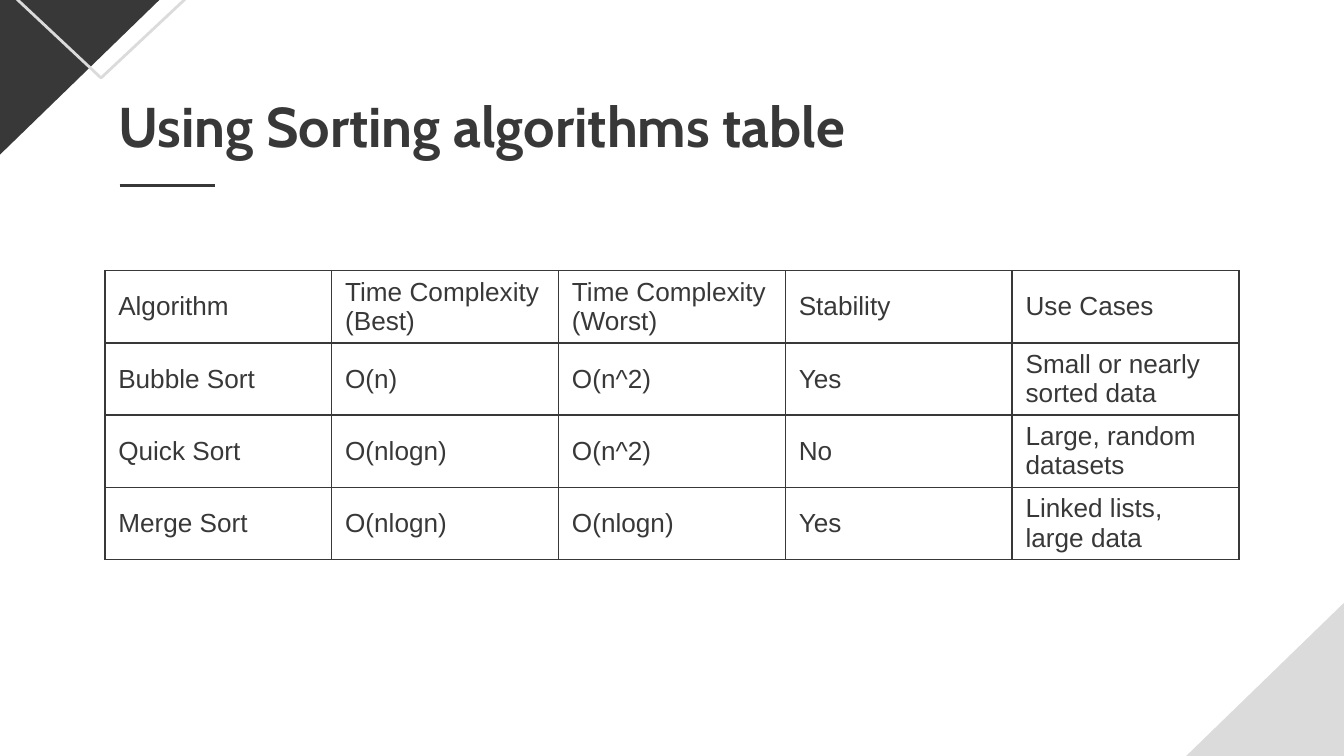
"""Build a slide with a table that compares sorting algorithms."""
from dataclasses import dataclass

from lxml import etree
from pptx import Presentation
from pptx import util as u
from pptx.dml.color import RGBColor
from pptx.enum import shapes, text
from pptx.oxml import ns

WIDTH = u.Inches(10)
HEIGHT = u.Emu(WIDTH * 9 // 16)
DARK, LIGHT = "383838", "DBDBDB"
ROWS = [
    ("Algorithm", "Time Complexity (Best)", "Time Complexity (Worst)", "Stability", "Use Cases"),
    ("Bubble Sort", "O(n)", "O(n^2)", "Yes", "Small or nearly sorted data"),
    ("Quick Sort", "O(nlogn)", "O(n^2)", "No", "Large, random datasets"),
    ("Merge Sort", "O(nlogn)", "O(nlogn)", "Yes", "Linked lists, large data"),
]


@dataclass(frozen=True)
class Box:
    """A rectangle in percent of the slide's width and height."""
    left: float
    top: float
    width: float
    height: float

    def emu(self) -> tuple:
        """Return left, top, width and height as lengths."""
        return (across(self.left), down(self.top), across(self.width), down(self.height))


@dataclass(frozen=True)
class Corner:
    """A mirrored triangle that decorates a corner of the slide."""
    kind: shapes.MSO_SHAPE
    box: Box
    colour: str
    rotation: int = 0
    filled: bool = True


CORNERS = [
    Corner(shapes.MSO_SHAPE.RIGHT_TRIANGLE, Box(81.1, 48.18, 37.2, 64.18), LIGHT),
    Corner(shapes.MSO_SHAPE.RIGHT_TRIANGLE, Box(-10.1, -26.31, 37.2, 64.18), DARK, 180),
    Corner(shapes.MSO_SHAPE.ISOSCELES_TRIANGLE, Box(-21.83, -38.58, 58.7, 48.89), LIGHT, 180, False),
]
TITLE = Box(7.8, 10.31, 84.3, 10.31)
TABLE = Box(7.8, 35.8, 84.4, 38.24)


def across(percent: float) -> int:
    """Return a share of the slide's width."""
    return u.Emu(round(WIDTH * percent / 100))


def down(percent: float) -> int:
    """Return a share of the slide's height."""
    return u.Emu(round(HEIGHT * percent / 100))


def rgb(colour: str) -> RGBColor:
    """Turn a hex string into a colour."""
    return RGBColor.from_string(colour)


def add_run(p, words: str, font: str, size: int, bold: bool = False) -> None:
    """Add one dark run to a paragraph."""
    r = p.add_run()
    r.text = words
    r.font.name, r.font.size, r.font.bold = font, u.Pt(size), bold
    r.font.color.rgb = rgb(DARK)


def add_corner(s, corner: Corner) -> None:
    """Draw a corner triangle, filled or outlined."""
    sp = s.shapes.add_shape(corner.kind, *corner.box.emu())
    sp.shadow.inherit = False
    sp.rotation = corner.rotation
    sp._element.spPr.find(ns.qn("a:xfrm")).set("flipH", "1")
    if corner.filled:
        sp.fill.solid()
        sp.fill.fore_color.rgb = rgb(corner.colour)
        sp.line.fill.background()
    else:
        sp.fill.background()
        sp.line.color.rgb = rgb(corner.colour)
        sp.line.width = u.Pt(1.5)


def add_title(s, words: str) -> None:
    """Fill the title placeholder and underline its start."""
    sp = s.shapes.title
    sp.left, sp.top, sp.width, sp.height = TITLE.emu()
    tf = sp.text_frame
    tf.auto_size = text.MSO_AUTO_SIZE.NONE
    tf.vertical_anchor = text.MSO_ANCHOR.TOP
    tf.margin_left = tf.margin_right = tf.margin_top = tf.margin_bottom = u.Inches(0.1)
    p = tf.paragraphs[0]
    p.alignment = text.PP_ALIGN.LEFT
    p.line_spacing = 1.0
    add_run(p, words, "Cabin", 30, True)
    y = down(24.53)
    rule = s.shapes.add_connector(shapes.MSO_CONNECTOR.STRAIGHT, across(8.9), y, across(16), y)
    rule.line.color.rgb = rgb(DARK)
    rule.line.width = u.Pt(1.5)
    etree.SubElement(rule._element.spPr, ns.qn("a:effectLst"))


def add_borders(cell) -> None:
    """Put a thin dark line on all sides of a cell."""
    props = cell._tc.get_or_add_tcPr()
    for i, side in enumerate(("lnL", "lnR", "lnT", "lnB")):
        ln = etree.Element(ns.qn(f"a:{side}"), w=str(u.Pt(1)))
        fill = etree.SubElement(ln, ns.qn("a:solidFill"))
        etree.SubElement(fill, ns.qn("a:srgbClr"), val=DARK)
        props.insert(i, ln)


def add_table(s, rows: list) -> None:
    """Draw the comparison table on an even grid."""
    table = s.shapes.add_table(len(rows), len(rows[0]), *TABLE.emu()).table
    table.first_row = table.horz_banding = False
    for i, row in enumerate(rows):
        for j, words in enumerate(row):
            cell = table.cell(i, j)
            cell.fill.background()
            cell.vertical_anchor = text.MSO_ANCHOR.MIDDLE
            add_run(cell.text_frame.paragraphs[0], words, "Arial", 14)
            add_borders(cell)


def main() -> None:
    """Build and save the slide."""
    prs = Presentation()
    prs.slide_width, prs.slide_height = WIDTH, HEIGHT
    s = prs.slides.add_slide(prs.slide_layouts[5])
    for corner in CORNERS:
        add_corner(s, corner)
    add_title(s, "Using Sorting algorithms table")
    add_table(s, ROWS)
    prs.save("out.pptx")


if __name__ == "__main__":
    main()
